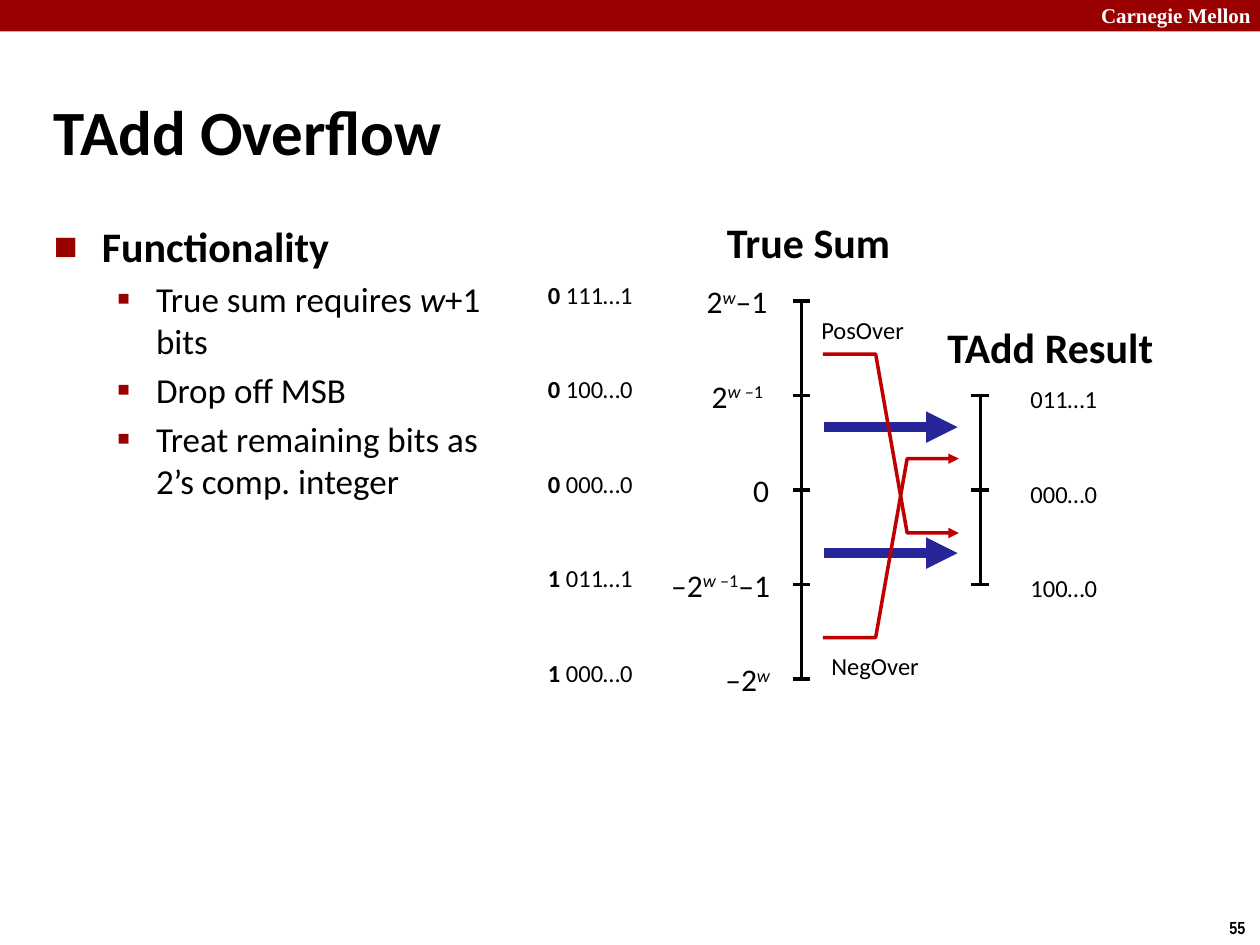
from dataclasses import dataclass
from lxml.etree import SubElement
from pptx import Presentation
from pptx.dml.color import RGBColor
from pptx.enum.shapes import MSO_CONNECTOR, MSO_SHAPE
from pptx.enum.text import MSO_ANCHOR, MSO_AUTO_SIZE, PP_ALIGN
from pptx.oxml.ns import qn
from pptx.util import Inches, Pt


@dataclass(frozen=True)
class Theme:
    """Colours, fonts and sizes of the slide."""
    ink: str = "000000"
    paper: str = "FFFFFF"
    brand: str = "990000"
    keep: str = "262699"
    wrap: str = "C00000"
    face: str = "Calibri"
    serif: str = "Times New Roman"
    narrow: str = "Arial Narrow"
    title: int = 36
    head: int = 24
    body: int = 20
    label: int = 18
    code: int = 14
    badge: int = 12
    page: int = 10
    thin: int = 2
    thick: int = 6


@dataclass(frozen=True)
class Box:
    """An area measured in grid columns and rows."""
    x: float
    y: float
    w: float
    h: float

    def sub(self, x, y, w, h):
        """Return an area placed relative to this one."""
        return Box(self.x + x, self.y + y, w, h)

    def point(self, x, y):
        """Return a point of this area in slide units."""
        return cell(self.x + x), cell(self.y + y)


THEME = Theme()
COLS, ROWS = 40, 30
STEP = 3


def cell(count):
    """Turn grid cells into a length."""
    return Inches(count * 10 / COLS)


def paint(text):
    """Turn a hex string into a colour."""
    return RGBColor.from_string(text)


def write(para, runs, size, color=THEME.ink, face=THEME.face):
    """Add runs of (text, marks); marks are b bold, i italic, s raised."""
    for text, marks in runs:
        run = para.add_run()
        run.text = text
        font = run.font
        font.size, font.name = Pt(size), face
        font.bold, font.italic = "b" in marks, "i" in marks
        font.color.rgb = paint(color)
        if "s" in marks:
            run._r.get_or_add_rPr().set("baseline", "30000")


def frame(slide, box, wrap=True):
    """Add an empty text box and return its frame."""
    shape = slide.shapes.add_textbox(*map(cell, (box.x, box.y, box.w, box.h)))
    text = shape.text_frame
    text.word_wrap = wrap
    return text


def label(slide, box, runs, size, align=PP_ALIGN.LEFT, **style):
    """Add a one-line label that fits its text."""
    text = frame(slide, box, False)
    text.auto_size = MSO_AUTO_SIZE.SHAPE_TO_FIT_TEXT
    text.paragraphs[0].alignment = align
    write(text.paragraphs[0], runs, size, **style)


def arrow(line):
    """Put an arrowhead at the end of a line."""
    SubElement(line._get_or_add_ln(), qn("a:tailEnd"), type="triangle")


def stroke(slide, start, end, color=THEME.ink, width=THEME.thin):
    """Draw a straight line and return it."""
    link = slide.shapes.add_connector(MSO_CONNECTOR.STRAIGHT, *start, *end)
    link.line.color.rgb = paint(color)
    link.line.width = Pt(width)
    SubElement(link._element.spPr, qn("a:effectLst"))
    return link


def bullet(para, mark, share, left, hang):
    """Give a paragraph a hanging coloured bullet."""
    props = para._p.get_or_add_pPr()
    props.set("marL", str(Inches(left)))
    props.set("indent", str(-Inches(hang)))
    tint = SubElement(props, qn("a:buClr"))
    SubElement(tint, qn("a:srgbClr"), val=THEME.brand)
    SubElement(props, qn("a:buSzPct"), val=str(share * 1000))
    SubElement(props, qn("a:buFont"), typeface=THEME.face)
    SubElement(props, qn("a:buChar"), char=mark)


def banner(slide, box):
    """Draw the top bar and its name."""
    bar = slide.shapes.add_shape(
        MSO_SHAPE.RECTANGLE, *map(cell, (box.x, box.y, box.w, box.h)))
    bar.shadow.inherit = False
    bar.fill.solid()
    bar.fill.fore_color.rgb = paint(THEME.brand)
    bar.line.fill.background()
    label(slide, box.sub(34.56, -0.12, 5.72, 1.2), [("Carnegie Mellon", "b")],
          THEME.badge, color=THEME.paper, face=THEME.serif)


def title(slide, box):
    """Write the slide title."""
    text = frame(slide, box)
    text.vertical_anchor = MSO_ANCHOR.MIDDLE
    write(text.paragraphs[0], [("TAdd Overflow", "b")], THEME.title)


def points(slide, box):
    """Write the heading and its list of points."""
    text = frame(slide, box)
    para = text.paragraphs[0]
    bullet(para, "■", 60, 0.38, 0.38)
    write(para, [("Functionality", "b")], THEME.head)
    for runs in ([("True sum requires ", ""), ("w", "i"), ("+1 bits", "")],
                 [("Drop off MSB", "")],
                 [("Treat remaining bits as 2’s comp. integer", "")]):
        para = text.add_paragraph()
        para.level = 1
        para.space_before = Pt(THEME.body * 0.2)
        bullet(para, "▪", 110, 0.81, 0.31)
        write(para, runs, THEME.body)


def axis(slide, box, x, first, last):
    """Draw an upright scale with a tick at each level."""
    mid = (first + last) / 2
    for top, end in ((first, mid), (mid, last)):
        stroke(slide, box.point(x, top * STEP), box.point(x, end * STEP))
    for level in range(first, last + 1):
        y = level * STEP
        stroke(slide, box.point(x - 0.28, y), box.point(x + 0.28, y))


def scales(slide, box):
    """Draw both scales with their headings, values and bit codes."""
    axis(slide, box, 8.44, 0, 4)
    axis(slide, box, 14.12, 1, 3)
    label(slide, box.sub(5.68, -2.88, 6.04, 2), [("True Sum", "b")], THEME.head)
    label(slide, box.sub(12.68, 0.44, 7.4, 2), [("TAdd Result", "b")], THEME.head)
    two, raised = ("2", ""), [("w ", "is"), ("–1", "s")]
    left, right = PP_ALIGN.LEFT, PP_ALIGN.RIGHT
    rows = (("0", " 111…1", 2.8, left, [two, ("w", "is"), ("–1", "")]),
            ("0", " 100…0", 2.64, left, [two, *raised]),
            ("0", " 000…0", 1.32, left, [("0", "")]),
            ("1", " 011…1", 4.16, right, [("–2", ""), *raised, ("–1", "")]),
            ("1", " 000…0", 2.32, right, [("–2", ""), ("w", "is")]))
    for level, (sign, bits, wide, align, value) in enumerate(rows):
        y = level * STEP
        label(slide, box.sub(0, y - 0.88, 3.52, 1.32),
              [(sign, "b"), (bits, "")], THEME.code)
        label(slide, box.sub(7.84 - wide, y - 0.8, wide, 1.6),
              value, THEME.label, align)
    for level, bits in enumerate(("011…1", "000…0", "100…0"), 1):
        label(slide, box.sub(15.32, level * STEP - 0.56, 2.92, 1.32),
              [(bits, "")], THEME.code)


def flows(slide, box):
    """Draw the kept ranges and the two that wrap around."""
    for y in (4, 8):
        link = stroke(slide, box.point(9.16, y), box.point(13.4, y),
                      THEME.keep, THEME.thick)
        arrow(link.line)
    for start, end in ((1.68, 7.36), (10.68, 5)):
        first, *rest = [box.point(x, y) for x, y in (
            (9.12, start), (10.8, start), (11.8, end), (13.44, end))]
        pen = slide.shapes.build_freeform(*first)
        pen.add_line_segments(rest, close=False)
        bend = pen.convert_to_shape()
        bend.shadow.inherit = False
        bend.fill.background()
        bend.line.color.rgb = paint(THEME.wrap)
        bend.line.width = Pt(THEME.thin)
        arrow(bend.line)
    for name, x, y, wide in (("PosOver", 8.68, 0.24, 3.48),
                             ("NegOver", 9, 10.92, 3.72)):
        label(slide, box.sub(x, y, wide, 1.36), [(name, "")], THEME.code)


def main():
    """Build the slide and save it."""
    deck = Presentation()
    deck.slide_width, deck.slide_height = cell(COLS), cell(ROWS)
    slide = deck.slides.add_slide(deck.slide_layouts[6])
    banner(slide, Box(0, 0, COLS, 1))
    title(slide, Box(1.32, 2.92, 29.56, 2.44))
    points(slide, Box(1.32, 6.8, 14.48, 22.84))
    chart = Box(17, 9.56, 20, 4 * STEP)
    scales(slide, chart)
    flows(slide, chart)
    label(slide, Box(38.64, 28.92, 1.36, 1.08), [("55", "b")],
          THEME.page, face=THEME.narrow)
    deck.save("out.pptx")


if __name__ == "__main__":
    main()
